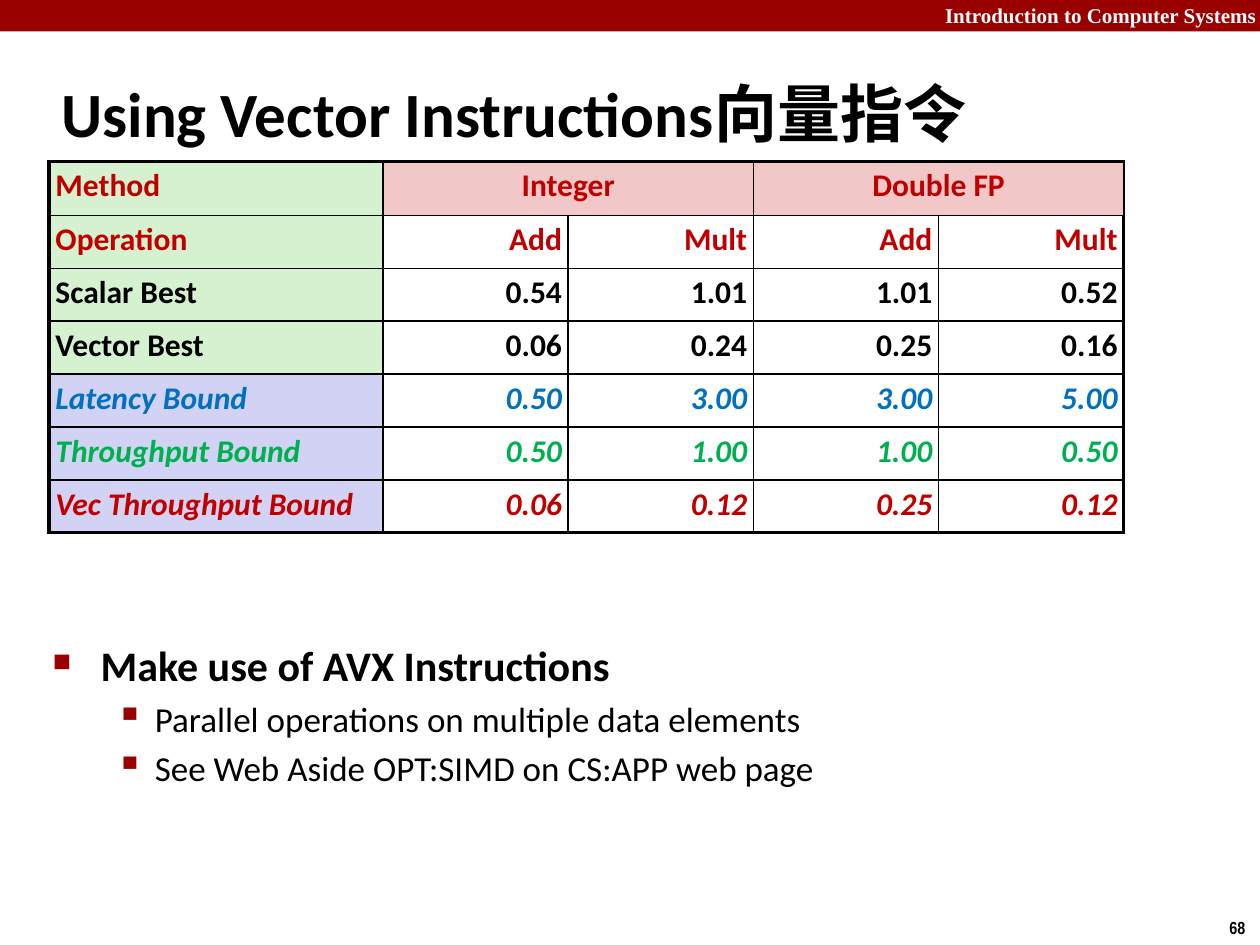
import pptx
import pptx.util
import pptx.dml.color
import pptx.enum.shapes
import pptx.enum.text
import pptx.oxml.ns
from lxml import etree

Inches, Pt = pptx.util.Inches, pptx.util.Pt
ALIGN = pptx.enum.text.PP_ALIGN
ANCHOR = pptx.enum.text.MSO_ANCHOR

COLORS = {
    "black": "000000", "white": "FFFFFF", "banner": "990000",
    "red": "C00000", "blue": "0070C0", "green": "00B050",
    "method": "D5F1CF", "bound": "D2D2F4", "type": "F1C7C7",
}

# Content
COURSE = "Introduction to Computer Systems"
TITLE = "Using Vector Instructions向量指令"
PAGE_NUMBER = "68"
# cells, text colour, label fill, italic
ROWS = [
    (["Method", "Integer", "", "Double FP", ""], "red", "method", False),
    (["Operation", "Add", "Mult", "Add", "Mult"], "red", "method", False),
    (["Scalar Best", "0.54", "1.01", "1.01", "0.52"], "black", "method", False),
    (["Vector Best", "0.06", "0.24", "0.25", "0.16"], "black", "method", False),
    (["Latency Bound", "0.50", "3.00", "3.00", "5.00"], "blue", "bound", True),
    (["Throughput Bound", "0.50", "1.00", "1.00", "0.50"], "green", "bound", True),
    (["Vec Throughput Bound", "0.06", "0.12", "0.25", "0.12"], "red", "bound", True),
]
COLUMN_WIDTHS = [2.65] + [1.47] * 4
ROW_HEIGHTS = [0.43] + [0.42] * 6
# text, level
BULLETS = [
    ("Make use of AVX Instructions", 0),
    ("Parallel operations on multiple data elements", 1),
    ("See Web Aside OPT:SIMD on CS:APP web page", 1),
]
# By level: left margin, hanging indent, mark, mark size %, text size, bold
BULLET_STYLES = [
    (0.38, 0.38, "■", 60, 24, True),
    (0.81, 0.31, "▪", 110, 20, False),
]


def rgb(name):
    return pptx.dml.color.RGBColor.from_string(COLORS[name])


def add_element(parent, tag, **attributes):
    element = etree.SubElement(parent, pptx.oxml.ns.qn(tag))
    for key, value in attributes.items():
        element.set(key, str(value))
    return element


def style(para, size, font="Calibri", color="black", bold=True, italic=False):
    for span in para.runs:
        span.font.size = Pt(size)
        span.font.name = font
        span.font.bold = bold
        span.font.italic = italic
        span.font.color.rgb = rgb(color)


def hang(para, margin, indent):
    properties = para._p.get_or_add_pPr()
    properties.set("marL", str(Inches(margin)))
    properties.set("indent", str(-Inches(indent)))
    return properties


def add_text(page, area, text, wrap=True):
    box = page.shapes.add_textbox(*map(Inches, area))
    box.text_frame.word_wrap = wrap
    box.text_frame.text = text
    return box.text_frame


def add_borders(cell, widths):
    properties = cell._tc.get_or_add_tcPr()
    for side, width in zip("LRTB", widths):
        line = add_element(properties, f"a:ln{side}", w=Pt(width))
        fill = add_element(line, "a:solidFill")
        add_element(fill, "a:srgbClr", val=COLORS["black"])


def add_banner(page):
    banner = page.shapes.add_shape(
        pptx.enum.shapes.MSO_SHAPE.RECTANGLE, 0, 0, Inches(10), Inches(0.25))
    banner.shadow.inherit = False
    banner.fill.solid()
    banner.fill.fore_color.rgb = rgb("banner")
    banner.line.fill.background()
    para = add_text(page, (6, -0.03, 4.07, 0.3), COURSE).paragraphs[0]
    para.alignment = ALIGN.RIGHT
    style(para, 12, "Times New Roman", "white")


def add_title(page):
    frame = add_text(page, (0.39, 0.48, 8.3, 0.83), TITLE)
    frame.vertical_anchor = ANCHOR.MIDDLE
    hang(frame.paragraphs[0], 0.13, 0.13)
    style(frame.paragraphs[0], 36)


def add_bullets(page):
    frame = add_text(page, (0.32, 5.03, 9.09, 2.05),
                     "\n".join(text for text, _ in BULLETS))
    for index, (para, (_, level)) in enumerate(zip(frame.paragraphs, BULLETS)):
        margin, indent, mark, mark_size, size, bold = BULLET_STYLES[level]
        para.level = level
        if index:
            para.space_before = Pt(size * 0.2)
        properties = hang(para, margin, indent)
        color = add_element(properties, "a:buClr")
        add_element(color, "a:srgbClr", val=COLORS["banner"])
        add_element(properties, "a:buSzPct", val=mark_size * 1000)
        add_element(properties, "a:buChar", char=mark)
        style(para, size, bold=bold)


def add_results(page):
    last_row, last_column = len(ROWS) - 1, len(COLUMN_WIDTHS) - 1
    table = page.shapes.add_table(
        len(ROWS), len(COLUMN_WIDTHS), Inches(0.39), Inches(1.28),
        Inches(sum(COLUMN_WIDTHS)), Inches(sum(ROW_HEIGHTS))).table
    table.first_row = table.horz_banding = False
    for column, width in zip(table.columns, COLUMN_WIDTHS):
        column.width = Inches(width)
    for row, height in zip(table.rows, ROW_HEIGHTS):
        row.height = Inches(height)

    for r, (texts, color, label_fill, italic) in enumerate(ROWS):
        for c, text in enumerate(texts):
            cell = table.cell(r, c)
            cell.margin_left = cell.margin_right = Inches(0.05)
            cell.margin_top = cell.margin_bottom = Inches(0.05)
            outer = (c == 0, c == last_column, r == 0, r == last_row)
            add_borders(cell, [2.25 if edge else 1 for edge in outer])
            fill = label_fill if c == 0 else "type" if r == 0 else None
            if fill:
                cell.fill.solid()
                cell.fill.fore_color.rgb = rgb(fill)
            else:
                cell.fill.background()
            cell.text_frame.text = text
            para = cell.text_frame.paragraphs[0]
            para.line_spacing = 0.95
            para.alignment = (ALIGN.LEFT if c == 0 else
                              ALIGN.CENTER if r == 0 else ALIGN.RIGHT)
            style(para, 18, color=color, italic=italic)

    # Each number type heads two columns
    for c in (1, 3):
        table.cell(0, c).merge(table.cell(0, c + 1))


def main():
    deck = pptx.Presentation()
    deck.slide_width, deck.slide_height = Inches(10), Inches(7.5)
    page = deck.slides.add_slide(deck.slide_layouts[6])
    add_banner(page)
    number = add_text(page, (9.66, 7.23, 0.34, 0.27), PAGE_NUMBER, wrap=False)
    style(number.paragraphs[0], 10, "Arial Narrow")
    add_title(page)
    add_bullets(page)
    add_results(page)
    deck.save("out.pptx")


if __name__ == "__main__":
    main()
